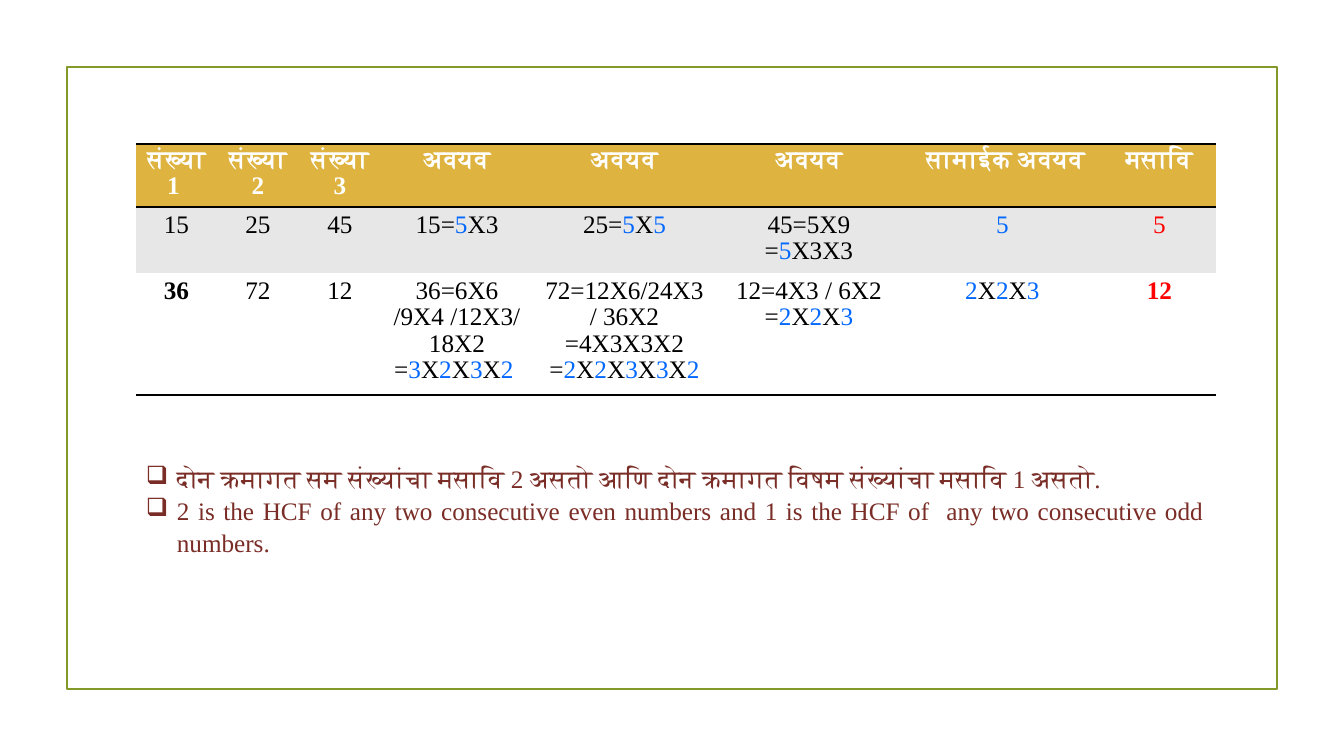
from dataclasses import dataclass

from lxml import etree
from pptx import Presentation
from pptx import util as u
from pptx.dml.color import RGBColor
from pptx.enum import shapes, text
from pptx.oxml import ns


@dataclass(frozen=True)
class Theme:
    font: str = "Times New Roman"
    size: int = 18
    frame: str = "83992A"
    header: str = "DEB340"
    band: str = "E7E7E7"
    white: str = "FFFFFF"
    black: str = "000000"
    factor: str = "0268FE"
    answer: str = "FF0000"
    note: str = "7A2D26"


THEME = Theme()
PX_PER_INCH = 100.8
COLUMNS = [81, 82, 82, 152, 183, 186, 201, 113]
ROWS = [63, 66, 122]
HEADINGS = ["संख्या 1 ", "संख्या 2", "संख्या 3", "अवयव", "अवयव", "अवयव",
            " सामाईक अवयव", "मसावि"]
EXAMPLES = [
    ["15", "25", "45", "15=|5|X3", "25=|5|X|5|", "45=5X9\n=|5|X3X3", "|5|", "5"],
    ["36", "72", "12",
     "36=6X6 /9X4 /12X3/ 18X2 =|3|X|2|X|3|X|2 |",
     "72=12X6/24X3 / 36X2\n=4X3X3X2\n=|2|X|2|X|3|X|3|X|2|",
     "12=4X3 / 6X2\n=|2|X|2|X|3|", "|2|X|2|X|3|", "12"],
]
NOTES = [
    "दोन क्रमागत सम संख्यांचा मसावि 2 असतो आणि दोन क्रमागत विषम संख्यांचा मसावि 1 असतो.",
    "2 is the HCF of any two consecutive even numbers and 1 is the HCF of  any two consecutive odd numbers.",
]


def px(length):
    return u.Inches(length / PX_PER_INCH)


def color(value):
    return RGBColor.from_string(value)


def add_span(para, words, ink, bold):
    span = para.add_run()
    span.text = words
    span.font.name = THEME.font
    span.font.size = u.Pt(THEME.size)
    span.font.bold = bold
    span.font.color.rgb = color(ink)
    etree.SubElement(span.font._element, ns.qn("a:cs"), typeface=THEME.font)


def write(frame, words, ink=THEME.black, bold=False, align=text.PP_ALIGN.CENTER,
          spacing=0.95, bullet=None, indent=0):
    frame.word_wrap = True
    for index, line in enumerate(words.split("\n")):
        para = frame.paragraphs[0] if index == 0 else frame.add_paragraph()
        para.alignment = align
        para.line_spacing = spacing
        if bullet:
            properties = para._p.get_or_add_pPr()
            properties.set("marL", str(px(indent)))
            properties.set("indent", str(-px(indent)))
            etree.SubElement(properties, ns.qn("a:buChar"), char=bullet)
        for order, part in enumerate(line.split("|")):
            if part:
                add_span(para, part, THEME.factor if order % 2 else ink, bold)


def set_borders(cell, ruled):
    properties = cell._tc.get_or_add_tcPr()
    for index, edge in enumerate("LRTB"):
        line = etree.Element(ns.qn(f"a:ln{edge}"), w=str(u.Pt(2)))
        if edge in ruled:
            fill = etree.SubElement(line, ns.qn("a:solidFill"))
            etree.SubElement(fill, ns.qn("a:srgbClr"), val=THEME.black)
        else:
            etree.SubElement(line, ns.qn("a:noFill"))
        properties.insert(index, line)


def fill_cell(cell, words, background, ruled, ink, bold):
    cell.fill.solid()
    cell.fill.fore_color.rgb = color(background)
    set_borders(cell, ruled)
    write(cell.text_frame, words, ink=ink, bold=bold)


def add_frame(page):
    frame = page.shapes.add_shape(shapes.MSO_SHAPE.RECTANGLE,
                                  px(67), px(67), px(1210), px(622))
    frame.shadow.inherit = False
    frame.fill.background()
    frame.line.color.rgb = color(THEME.frame)
    frame.line.width = u.Pt(1.25)


def add_factor_table(page):
    table = page.shapes.add_table(len(ROWS), len(COLUMNS), px(136), px(144),
                                  px(sum(COLUMNS)), px(sum(ROWS))).table
    for column, width in zip(table.columns, COLUMNS):
        column.width = px(width)
    for row, height in zip(table.rows, ROWS):
        row.height = px(height)
    last = len(COLUMNS) - 1
    for index, heading in enumerate(HEADINGS):
        cell = table.cell(0, index)
        cell.margin_top = cell.margin_bottom = px(3)
        fill_cell(cell, heading, THEME.header, "TB", THEME.white, True)
    bands = [(THEME.band, "T"), (THEME.white, "B")]
    for number, (example, (background, ruled)) in enumerate(zip(EXAMPLES, bands), 1):
        for index, words in enumerate(example):
            ink = THEME.answer if index == last else THEME.black
            bold = number == 2 and index in (0, last)
            fill_cell(table.cell(number, index), words, background, ruled, ink, bold)


def add_notes(page):
    box = page.shapes.add_textbox(px(136), px(456), px(1078), px(163))
    write(box.text_frame, "\n".join(NOTES), ink=THEME.note,
          align=text.PP_ALIGN.JUSTIFY, spacing=1.07, bullet="❑", indent=31)


def main():
    deck = Presentation()
    deck.slide_width, deck.slide_height = px(1344), px(756)
    page = deck.slides.add_slide(deck.slide_layouts[6])
    add_frame(page)
    add_factor_table(page)
    add_notes(page)
    deck.save("out.pptx")


if __name__ == "__main__":
    main()
